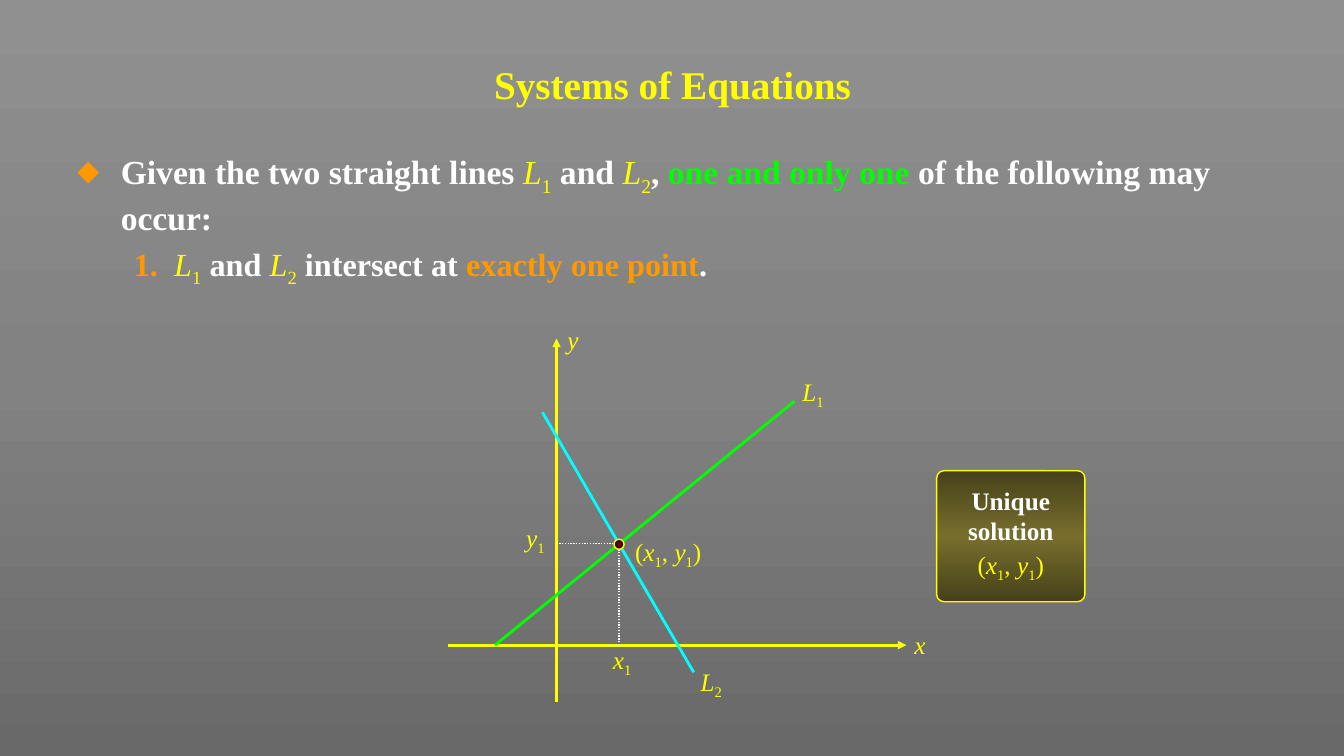
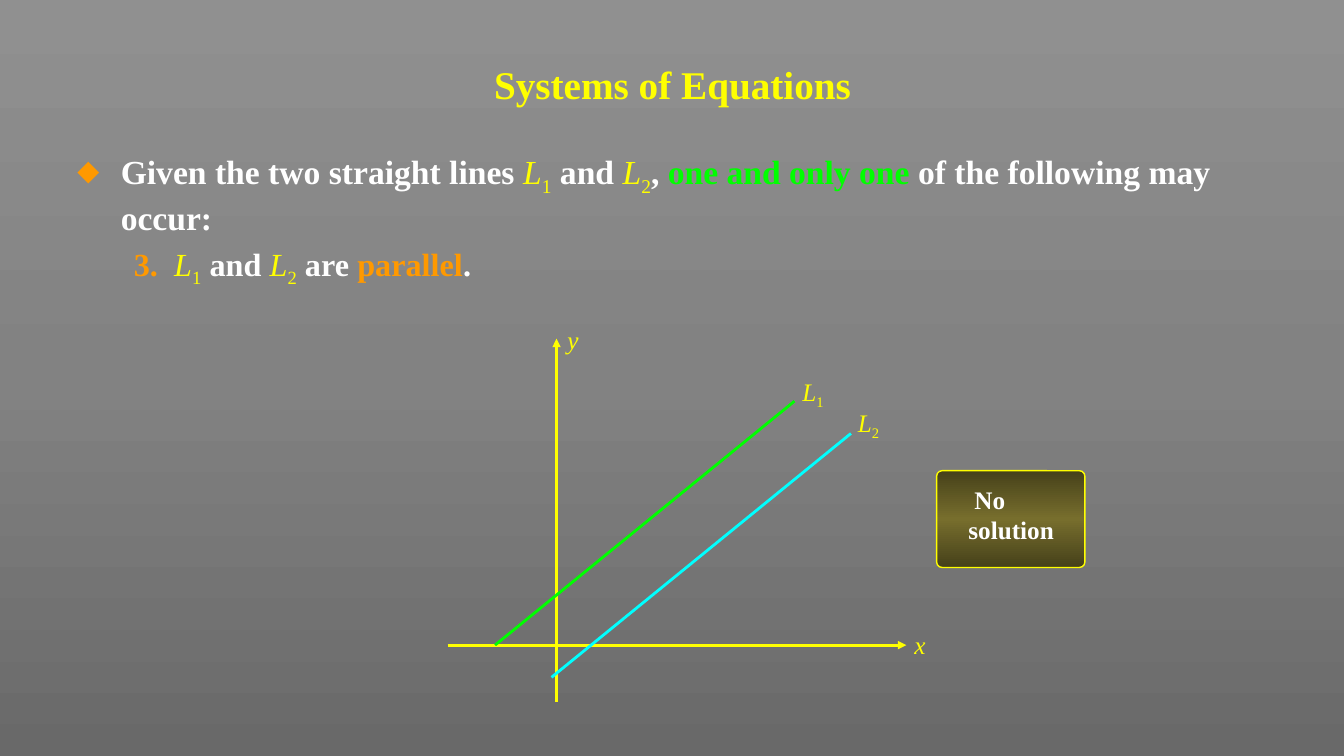
from dataclasses import dataclass

from lxml import etree
from pptx import Presentation
from pptx.dml.color import RGBColor
from pptx.enum import dml, shapes, text
from pptx.oxml.ns import qn
from pptx.util import Inches, Pt

FONT = "Times New Roman"
COLORS = {
    "yellow": "FFFF00", "white": "FFFFFF", "green": "00FF00", "cyan": "00FFFF",
    "orange": "FF9900", "olive": "776E2D", "dark olive": "46411A",
    "maroon": "800000", "black": "000000",
    "light gray": "909090", "mid gray": "828282", "deep gray": "696969",
}
ALIGN = text.PP_ALIGN
Position = tuple[float, float]


@dataclass(frozen=True)
class Span:
    text: str
    color: str = "white"
    bold: bool = True
    italic: bool = False
    subscript: bool = False


@dataclass(frozen=True)
class Line:
    start: Position
    end: Position
    color: str = "yellow"
    width: float = 2
    arrow: bool = False
    dotted: bool = False


@dataclass(frozen=True)
class Label:
    left: float
    top: float
    width: float
    spans: list[Span]
    align: ALIGN = ALIGN.LEFT


def symbol(letter: str, index: str = "") -> list[Span]:
    """An italic variable with an optional subscript."""
    spans = [Span(letter, "yellow", bold=False, italic=True)]
    if index:
        spans.append(Span(index, "yellow", bold=False, subscript=True))
    return spans


def plain(words: str) -> Span:
    return Span(words, "yellow", bold=False)


L1, L2, X1, Y1 = symbol("L", "1"), symbol("L", "2"), symbol("x", "1"), symbol("y", "1")
POINT = [plain("("), *X1, plain(", "), *Y1, plain(")")]
PREMISE = [
    Span("Given the two straight lines "), *L1, Span(" and "), *L2, Span(", "),
    Span("one and only one", "green"), Span(" of the following may occur:"),
]
ORIGIN_X, ORIGIN_Y = 5.52, 6.4
CROSS_X, CROSS_Y = 6.14, 5.39
AXES = [
    Line((4.44, ORIGIN_Y), (8.99, ORIGIN_Y), arrow=True),
    Line((ORIGIN_X, 6.96), (ORIGIN_X, 3.36), arrow=True),
]
FIRST_LINE = Line((4.91, 6.4), (7.88, 3.98), "green")
SHARED_LABELS = [
    Label(5.53, 3.17, 0.3, symbol("y")),
    Label(8.97, 6.19, 0.38, symbol("x")),
    Label(7.86, 3.68, 0.82, L1),
]


def rgb(name: str) -> RGBColor:
    return RGBColor.from_string(COLORS[name])


def paint_gradient(owner, fill, names: list[str], radial: bool = False) -> None:
    """Spread the named colours evenly, downwards or out of the centre."""
    fill.gradient()
    gradient = owner.element.find(".//" + qn("a:gradFill"))
    for child in list(gradient):
        gradient.remove(child)
    stops = etree.SubElement(gradient, qn("a:gsLst"))
    for index, name in enumerate(names):
        position = round(100000 * index / (len(names) - 1))
        stop = etree.SubElement(stops, qn("a:gs"), pos=str(position))
        etree.SubElement(stop, qn("a:srgbClr"), val=COLORS[name])
    if radial:
        shade = etree.SubElement(gradient, qn("a:path"), path="shape")
        sides = {side: "50000" for side in "ltrb"}
        etree.SubElement(shade, qn("a:fillToRect"), **sides)
    else:
        etree.SubElement(gradient, qn("a:lin"), ang="5400000", scaled="0")


def write(para, words: str, *, size: float, color: str = "white", bold: bool = True,
          italic: bool = False, subscript: bool = False) -> None:
    run = para.add_run()
    run.text = words
    font = run.font
    font.name, font.size, font.bold, font.italic = FONT, Pt(size), bold, italic
    font.color.rgb = rgb(color)
    if subscript:
        run.element if hasattr(run, "element") else None
        font._element.set("baseline", "-25000")


def write_spans(para, spans: list[Span], size: float) -> None:
    for span in spans:
        write(para, span.text, size=size, color=span.color, bold=span.bold,
              italic=span.italic, subscript=span.subscript)


def indent(para, left: float, first: float) -> None:
    properties = para._p.get_or_add_pPr()
    properties.set("marL", str(Inches(left)))
    properties.set("indent", str(Inches(first)))


def add_bullet(para) -> None:
    properties = para._p.get_or_add_pPr()
    color = etree.SubElement(properties, qn("a:buClr"))
    etree.SubElement(color, qn("a:srgbClr"), val=COLORS["orange"])
    etree.SubElement(properties, qn("a:buSzPct"), val="85000")
    etree.SubElement(properties, qn("a:buChar"), char="◆")


def add_text_box(slide, left: float, top: float, width: float, height: float):
    box = slide.shapes.add_textbox(Inches(left), Inches(top), Inches(width), Inches(height))
    box.text_frame.word_wrap = True
    return box.text_frame


def add_label(slide, label: Label) -> None:
    frame = add_text_box(slide, label.left, label.top, label.width, 0.4)
    para = frame.paragraphs[0]
    para.alignment = label.align
    write_spans(para, label.spans, 18)


def add_line(slide, line: Line) -> None:
    ends = [Inches(value) for value in (*line.start, *line.end)]
    connector = slide.shapes.add_connector(shapes.MSO_CONNECTOR.STRAIGHT, *ends)
    connector.line.color.rgb = rgb(line.color)
    connector.line.width = Pt(line.width)
    if line.dotted:
        connector.line.dash_style = dml.MSO_LINE.ROUND_DOT
    properties = connector.element.spPr
    if line.arrow:
        etree.SubElement(properties.find(qn("a:ln")), qn("a:tailEnd"), type="triangle")
    etree.SubElement(properties, qn("a:effectLst"))


def add_outlined(slide, kind, left: float, top: float, width: float, height: float,
                 names: list[str], radial: bool = False):
    shape = slide.shapes.add_shape(kind, Inches(left), Inches(top), Inches(width), Inches(height))
    shape.shadow.inherit = False
    paint_gradient(shape, shape.fill, names, radial)
    shape.line.color.rgb = rgb("yellow")
    shape.line.width = Pt(1)
    return shape


def add_result_box(slide, height: float):
    """Draw the olive box and return its text frame."""
    box = add_outlined(slide, shapes.MSO_SHAPE.ROUNDED_RECTANGLE, 9.29, 4.67, 1.47, height,
                       ["dark olive", "olive", "dark olive"])
    box.adjustments[0] = 0.056
    frame = box.text_frame
    frame.word_wrap = True
    frame.vertical_anchor = text.MSO_ANCHOR.TOP
    frame.margin_left = frame.margin_right = 0
    frame.margin_top = Inches(0.12)
    return frame


def add_case_slide(deck, number: int, case: list[Span], lines: list[Line],
                   labels: list[Label]):
    slide = deck.slides.add_slide(deck.slide_layouts[5])
    title = slide.shapes.title
    title.left, title.top, title.width, title.height = map(Inches, (0.67, 0, 12, 1.67))
    title.text_frame.vertical_anchor = text.MSO_ANCHOR.MIDDLE
    heading = title.text_frame.paragraphs[0]
    heading.alignment = ALIGN.CENTER
    write(heading, "Systems of Equations", size=28, color="yellow")

    frame = add_text_box(slide, 0.67, 1.45, 12, 1.5)
    premise = frame.paragraphs[0]
    indent(premise, 0.43, -0.43)
    add_bullet(premise)
    write_spans(premise, PREMISE, 24)
    item = frame.add_paragraph()
    item.space_before = Pt(4.8)
    indent(item, 0.96, -0.4)
    write_spans(item, [Span(f"{number}.\t", "orange"), *L1, Span(" and "), *L2, *case], 23)

    for line in [*AXES, FIRST_LINE, *lines]:
        add_line(slide, line)
    for label in [*SHARED_LABELS, *labels]:
        add_label(slide, label)
    return slide


def add_intersecting_slide(deck) -> None:
    cross = (CROSS_X, CROSS_Y)
    slide = add_case_slide(
        deck, 1,
        [Span(" intersect at "), Span("exactly one point", "orange"), Span(".")],
        [
            Line((5.38, 4.09), (6.88, 6.67), "cyan"),
            Line((CROSS_X, ORIGIN_Y), cross, "white", 1, dotted=True),
            Line((ORIGIN_X, CROSS_Y), cross, "white", 1, dotted=True),
        ],
        [
            Label(6.85, 6.56, 0.82, L2),
            Label(6.2, 5.27, 1.1, POINT),
            Label(5.93, 6.34, 0.48, X1, ALIGN.CENTER),
            Label(5.02, 5.13, 0.48, Y1, ALIGN.RIGHT),
        ],
    )
    size = 0.1
    add_outlined(slide, shapes.MSO_SHAPE.FLOWCHART_CONNECTOR, CROSS_X - size / 2,
                 CROSS_Y + 0.01 - size / 2, size, size, ["maroon", "black"], radial=True)
    frame = add_result_box(slide, 1.3)
    verdict = frame.paragraphs[0]
    write(verdict, "Unique solution", size=18)
    point = frame.add_paragraph()
    point.line_spacing = 0.6
    point.space_before = Pt(9)
    write_spans(point, POINT, 18)
    for para in (verdict, point):
        para.alignment = ALIGN.CENTER


def add_parallel_slide(deck) -> None:
    slide = add_case_slide(
        deck, 3,
        [Span(" are "), Span("parallel", "orange"), Span(".")],
        [Line((5.47, 6.72), (8.44, 4.3), "cyan")],
        [Label(8.41, 3.99, 0.82, L2)],
    )
    verdict = add_result_box(slide, 0.96).paragraphs[0]
    verdict.alignment = ALIGN.LEFT
    indent(verdict, 0.3, 0.06)
    write(verdict, "No", size=18)
    verdict.add_line_break()
    write(verdict, "solution", size=18)


def main() -> None:
    deck = Presentation()
    deck.slide_width, deck.slide_height = Inches(13.33), Inches(7.5)
    master = deck.slide_master
    paint_gradient(master, master.background.fill, ["light gray", "mid gray", "deep gray"])
    add_intersecting_slide(deck)
    add_parallel_slide(deck)
    deck.save("out.pptx")


if __name__ == "__main__":
    main()
